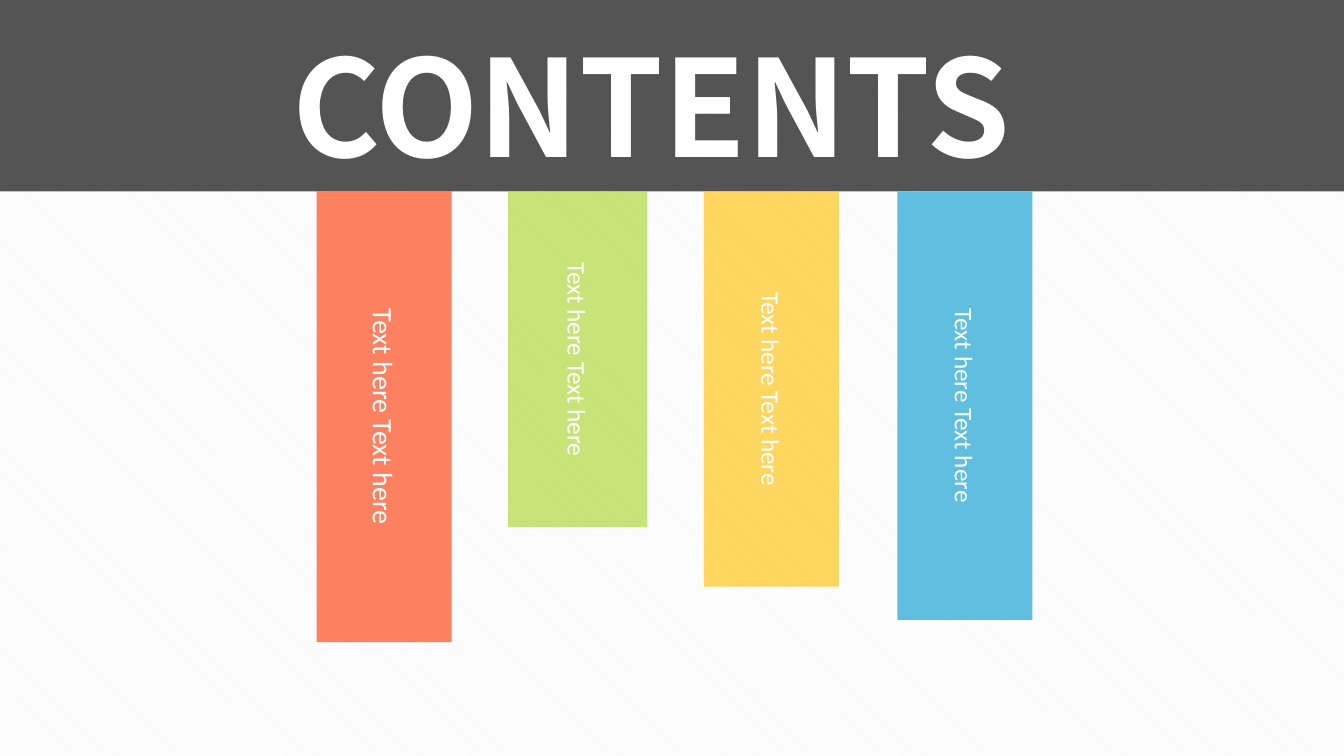
import pptx
import pptx.util
import pptx.dml.color
import pptx.enum.dml
import pptx.enum.shapes
import pptx.enum.text
import pptx.oxml.ns
import lxml.etree

Inches = pptx.util.Inches
Pt = pptx.util.Pt
TITLE = "CONTENTS"
LABEL = "Text here Text here"
COLORS = {
    "band": "0D0D0D", "red": "FE4C1E", "green": "B2D940",
    "gold": "FFC71E", "blue": "1EA5D2", "white": "FFFFFF", "stripe": "F2F2F2",
}
RIBBONS = [
    ("red", 4.47, 1.34, 20),
    ("green", 3.33, 1.38, 18),
    ("gold", 3.92, 1.34, 18),
    ("blue", 4.25, 1.34, 18),
]
WIDTH, HEIGHT, BAND = 13.33, 7.5, 1.9
FIRST, PITCH = 3.81, 1.92


def color(name):
    return pptx.dml.color.RGBColor.from_string(COLORS[name])


def block(slide, left, top, width, height, name):
    shape = slide.shapes.add_shape(
        pptx.enum.shapes.MSO_SHAPE.RECTANGLE,
        Inches(left), Inches(top), Inches(width), Inches(height))
    shape.shadow.inherit = False
    shape.line.fill.background()
    shape.fill.solid()
    shape.fill.fore_color.rgb = color(name)
    tint = shape._element.spPr.find(".//" + pptx.oxml.ns.qn("a:srgbClr"))
    lxml.etree.SubElement(tint, pptx.oxml.ns.qn("a:alpha"), val="70000")
    return shape


def style(para, size, font):
    para.font.size = Pt(size)
    para.font.name = font
    para.font.color.rgb = color("white")


def main():
    deck = pptx.Presentation()
    deck.slide_width, deck.slide_height = Inches(WIDTH), Inches(HEIGHT)
    slide = deck.slides.add_slide(deck.slide_layouts[5])

    back = slide.background.fill
    back.patterned()
    back.pattern = pptx.enum.dml.MSO_PATTERN.LIGHT_DOWNWARD_DIAGONAL
    back.fore_color.rgb = color("stripe")
    back.back_color.rgb = color("white")

    title = slide.shapes.title
    band = block(slide, 0, 0, WIDTH, BAND, "band")
    title._element.addprevious(band._element)

    title.left, title.top = Inches(2.8), Inches(0.18)
    title.width, title.height = Inches(7.74), Inches(1.72)
    frame = title.text_frame
    frame.text = TITLE
    frame.word_wrap = False
    frame.auto_size = pptx.enum.text.MSO_AUTO_SIZE.SHAPE_TO_FIT_TEXT
    frame.vertical_anchor = pptx.enum.text.MSO_ANCHOR.TOP
    para = frame.paragraphs[0]
    para.alignment = pptx.enum.text.PP_ALIGN.LEFT
    style(para, 96, "Noto Sans CJK SC")
    para.font.bold = True

    for i, (name, length, width, size) in enumerate(RIBBONS):
        left = FIRST + i * PITCH - length / 2
        top = BAND + (length - width) / 2
        ribbon = block(slide, left, top, length, width, name)
        ribbon.rotation = 90
        frame = ribbon.text_frame
        frame.text = LABEL
        frame.vertical_anchor = pptx.enum.text.MSO_ANCHOR.MIDDLE
        para = frame.paragraphs[0]
        para.alignment = pptx.enum.text.PP_ALIGN.CENTER
        style(para, size, "Calibri")

    deck.save("out.pptx")


if __name__ == "__main__":
    main()
